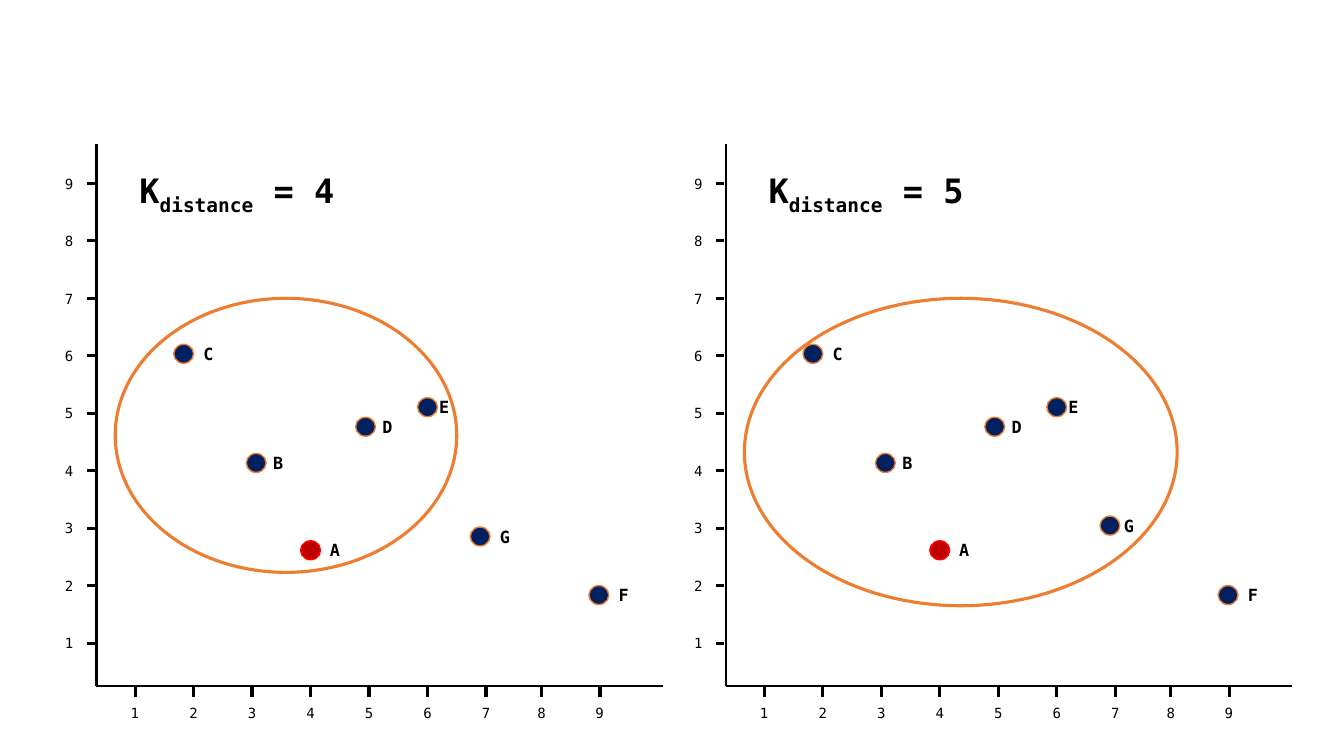
from lxml import etree
from pptx import Presentation, util as u
from pptx.dml.color import RGBColor
from pptx.enum import shapes, text
from pptx.oxml import ns

HUES = {"ink": "000000", "navy": "002060", "rust": "ED7D31",
        "red": "C00000", "glow": "FF0000"}
FACE = "DejaVu Sans Mono"
COL, ROW = 0.58, 0.57
LEFT, BASE = 0.76, 6.95
STEP = 10.76


class Plot:
    def __init__(self, slide):
        self.slide = slide
        self.shift = 0

    def hue(self, name):
        return RGBColor.from_string(HUES[name])

    def spot(self, x, y):
        return u.Inches(LEFT + (x + self.shift) * COL), u.Inches(BASE - y * ROW)

    def size(self, w, h):
        return u.Inches(w * COL), u.Inches(h * ROW)

    def line(self, start, end, width):
        link = self.slide.shapes.add_connector(
            shapes.MSO_CONNECTOR.STRAIGHT, *self.spot(*start), *self.spot(*end))
        link.line.color.rgb = self.hue("ink")
        link.line.width = u.Pt(width)
        etree.SubElement(link._element.spPr, ns.qn("a:effectLst"))

    def oval(self, x, y, w, h, edge, width, fill=None):
        ring = self.slide.shapes.add_shape(
            shapes.MSO_SHAPE.OVAL, *self.spot(x, y), *self.size(w, h))
        ring.shadow.inherit = False
        ring.line.color.rgb = self.hue(edge)
        ring.line.width = u.Pt(width)
        if fill:
            ring.fill.solid()
            ring.fill.fore_color.rgb = self.hue(fill)
        else:
            ring.fill.background()

    def style(self, para, size, bold):
        font = para.font
        font.name, font.size, font.bold = FACE, u.Pt(size), bold
        font.color.rgb = self.hue("ink")

    def label(self, words, x, y, h, size, bold=False, mid=False):
        box = self.slide.shapes.add_textbox(*self.spot(x, y), *self.size(0.71, h))
        frame = box.text_frame
        frame.word_wrap = True
        frame.auto_size = text.MSO_AUTO_SIZE.SHAPE_TO_FIT_TEXT
        para = frame.paragraphs[0]
        para.text = words
        if mid:
            para.alignment = text.PP_ALIGN.CENTER
        self.style(para, size, bold)

    def head(self, slot, count, w):
        slot.left, slot.top = self.spot(0.9, 9.32)
        slot.width, slot.height = self.size(w, 0.88)
        frame = slot.text_frame
        frame.vertical_anchor = text.MSO_ANCHOR.TOP
        frame.auto_size = text.MSO_AUTO_SIZE.NONE
        para = frame.paragraphs[0]
        para.space_before = u.Pt(0)
        self.style(para, 24, True)
        for words, drop in (("K", 0), ("distance", -25000), (f" = {count}", 0)):
            run = para.add_run()
            run.text = words
            if drop:
                run._r.get_or_add_rPr().set("baseline", str(drop))

    def axes(self):
        self.line((0.34, 9.68), (0.34, 0.26), 1.5)
        self.line((10.03, 0.26), (0.34, 0.26), 1.5)
        for n in range(1, 10):
            x = n - 0.05 * (n > 7)
            edge = n in (1, 9)
            self.line((x, 0.26), (x, 0.07), 2.25)
            self.line((0.31, n), (0.17, n), 2.25)
            self.label(str(n), x - (0.36 if edge else 0.24), 0.01, 0.47, 10, mid=edge)
            self.label(str(n), -0.37, n + 0.23, 0.47, 10)

    def dot(self, name, x, y, gap):
        fill, edge = ("red", "glow") if name == "A" else ("navy", "rust")
        self.oval(x - 0.17, y + 0.17, 0.34, 0.33, edge, 1, fill)
        self.label(name, x + gap, y + 0.27, 0.53, 12, bold=True)


DOTS = [("A", 4, 2.61, 0.16), ("B", 3.07, 4.13, 0.12), ("C", 1.83, 6.03, 0.17),
        ("D", 4.94, 4.76, 0.12), ("E", 6, 5.1, 0.03), ("F", 8.93, 1.83, 0.17)]
PANES = [(4, 1, 5.12, (5.84, 4.77), ("G", 6.9, 2.85, 0.17)),
         (5, 3, 5.29, (7.4, 5.35), ("G", 6.91, 3.04, 0.07))]


def main():
    deck = Presentation()
    deck.slide_width, deck.slide_height = u.Inches(13.33), u.Inches(7.5)
    slide = deck.slides.add_slide(deck.slide_layouts.get_by_name("Comparison"))
    slots = {s.placeholder_format.idx: s for s in slide.placeholders}
    plot = Plot(slide)
    for i, (count, idx, w, ring, last) in enumerate(PANES):
        plot.shift = i * STEP
        plot.head(slots.pop(idx), count, w)
        plot.axes()
        plot.oval(0.66, 7, *ring, "rust", 2.25)
        for dot in DOTS + [last]:
            plot.dot(*dot)
    for slot in slots.values():
        slot._element.getparent().remove(slot._element)
    deck.save("out.pptx")


if __name__ == "__main__":
    main()
